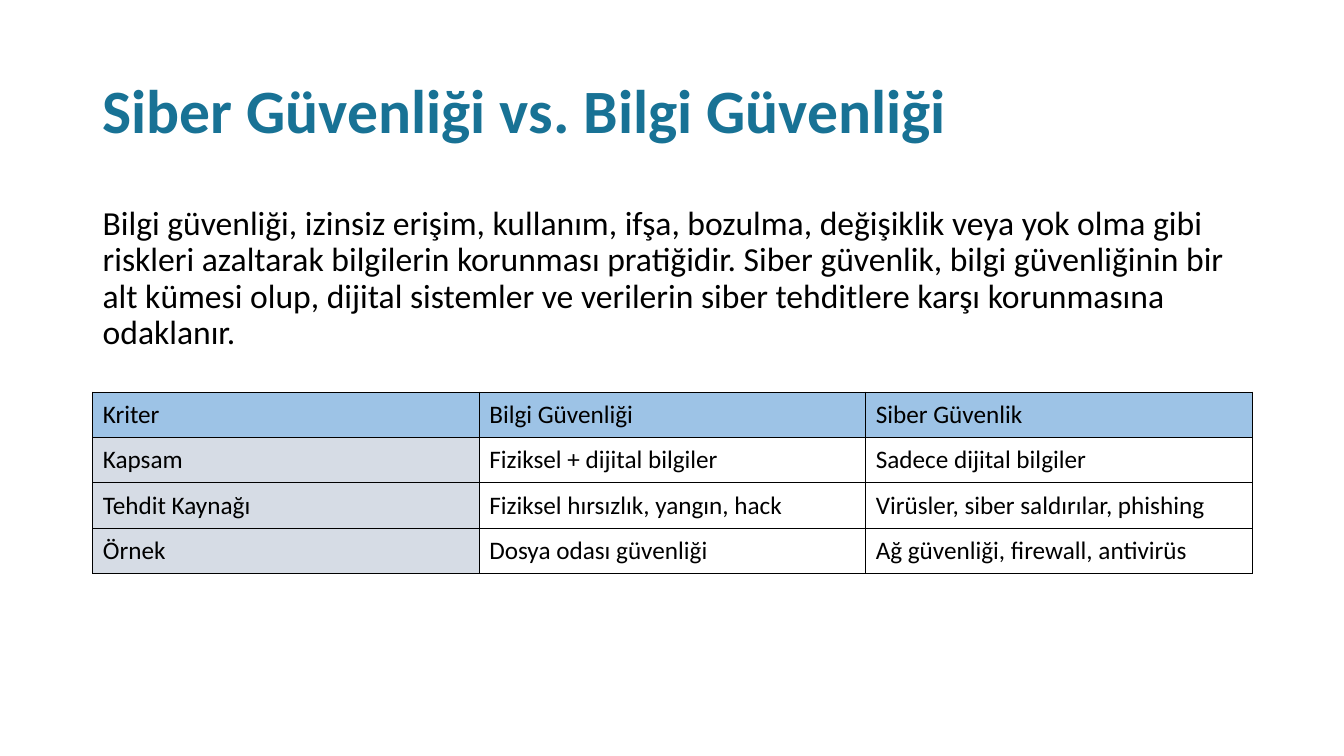
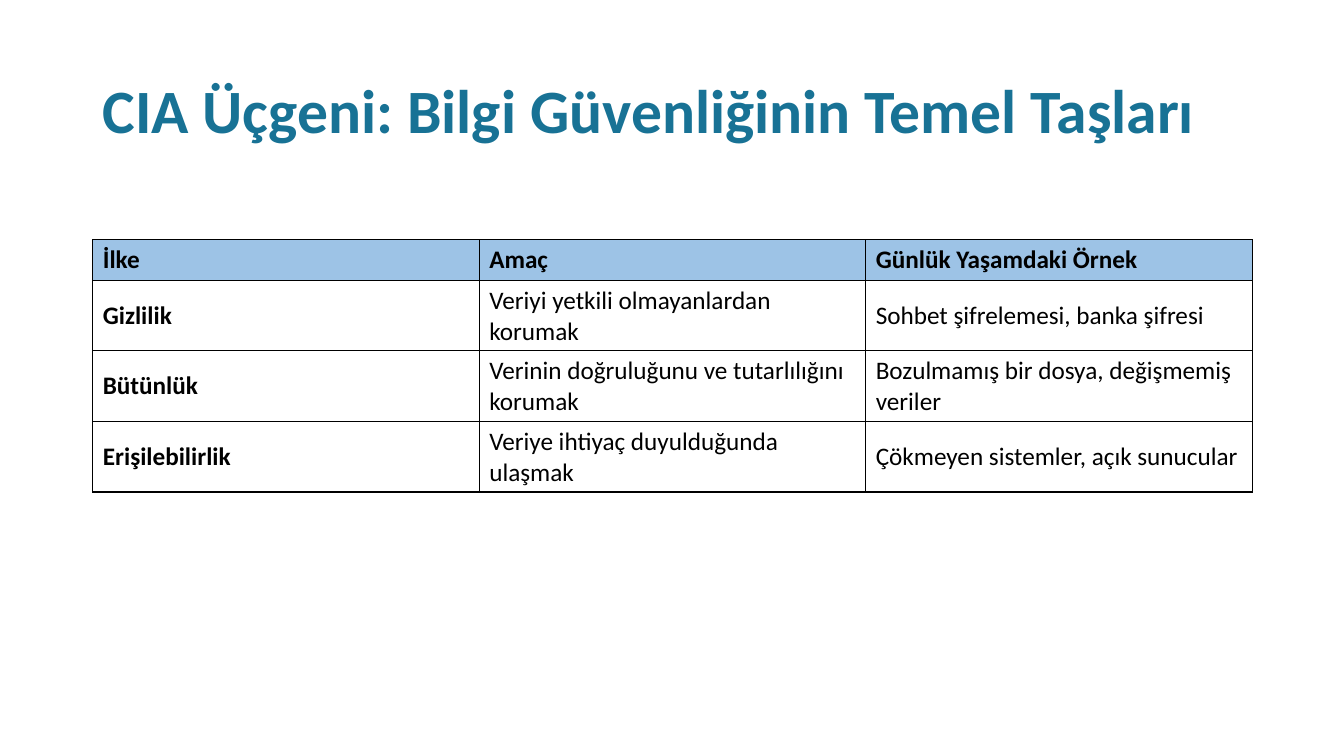
"""Build two slides comparing security terms and the CIA triad."""
from lxml import etree
from pptx import Presentation
from pptx import util as u
from pptx.dml import color
from pptx.enum import text
from pptx.oxml import ns

FONT = "Calibri"
TEAL, BLACK = "187295", "000000"
BLUE, GREY = "9DC3E6", "D6DCE5"
LEFT, WIDTH = 0.92, 11.5

INTRO = (
    "Bilgi güvenliği, izinsiz erişim, kullanım, ifşa, bozulma, değişiklik "
    "veya yok olma gibi riskleri azaltarak bilgilerin korunması pratiğidir. "
    "Siber güvenlik, bilgi güvenliğinin bir alt kümesi olup, dijital sistemler "
    "ve verilerin siber tehditlere karşı korunmasına odaklanır."
)
TERMS = [
    ["Kriter", "Bilgi Güvenliği", "Siber Güvenlik"],
    ["Kapsam", "Fiziksel + dijital bilgiler", "Sadece dijital bilgiler"],
    ["Tehdit Kaynağı", "Fiziksel hırsızlık, yangın, hack",
     "Virüsler, siber saldırılar, phishing"],
    ["Örnek", "Dosya odası güvenliği", "Ağ güvenliği, firewall, antivirüs"],
]
TRIAD = [
    ["İlke", "Amaç", "Günlük Yaşamdaki Örnek"],
    ["Gizlilik", "Veriyi yetkili olmayanlardan korumak",
     "Sohbet şifrelemesi, banka şifresi"],
    ["Bütünlük", "Verinin doğruluğunu ve tutarlılığını korumak",
     "Bozulmamış bir dosya, değişmemiş veriler"],
    ["Erişilebilirlik", "Veriye ihtiyaç duyulduğunda ulaşmak",
     "Çökmeyen sistemler, açık sunucular"],
]


def rgb(code):
    return color.RGBColor.from_string(code)


def style(para, size, tint=BLACK, bold=False):
    for run in para.runs:
        font = run.font
        font.name, font.size, font.bold = FONT, u.Pt(size), bold
        font.color.rgb = rgb(tint)


def add_text(slide, words, top, height, size, tint=BLACK, bold=False,
             anchor=text.MSO_ANCHOR.TOP, before=0):
    box = slide.shapes.add_textbox(
        u.Inches(LEFT), u.Inches(top), u.Inches(WIDTH), u.Inches(height))
    frame = box.text_frame
    frame.word_wrap = True
    frame.vertical_anchor = anchor
    frame.text = words
    para = frame.paragraphs[0]
    para.line_spacing = 0.9
    para.space_before = u.Pt(before)
    style(para, size, tint, bold)


def add_title(slide, words):
    add_text(slide, words, 0.4, 1.45, 44, TEAL, True, text.MSO_ANCHOR.MIDDLE)


def add_border(cell):
    props = cell._tc.get_or_add_tcPr()
    for side in ("a:lnL", "a:lnR", "a:lnT", "a:lnB"):
        line = etree.SubElement(props, ns.qn(side), w=str(u.Pt(1)))
        fill = etree.SubElement(line, ns.qn("a:solidFill"))
        etree.SubElement(fill, ns.qn("a:srgbClr"), val=BLACK)


def fill_cell(cell, words, fill, bold):
    add_border(cell)
    if fill:
        cell.fill.solid()
        cell.fill.fore_color.rgb = rgb(fill)
    else:
        cell.fill.background()
    cell.vertical_anchor = text.MSO_ANCHOR.MIDDLE
    cell.text_frame.text = words
    style(cell.text_frame.paragraphs[0], 18, bold=bold)


def add_grid(slide, data, top, heights, side=None, bold=False):
    count = len(data[0])
    table = slide.shapes.add_table(
        len(data), count, u.Inches(LEFT), u.Inches(top),
        u.Inches(WIDTH), u.Inches(sum(heights))).table
    table.first_row = table.horz_banding = False
    for col in table.columns:
        col.width = u.Inches(WIDTH / count)
    for r, (row, height) in enumerate(zip(data, heights)):
        table.rows[r].height = u.Inches(height)
        for c, words in enumerate(row):
            fill = BLUE if r == 0 else side if c == 0 else None
            fill_cell(table.cell(r, c), words, fill, bold and 0 in (r, c))


def main():
    deck = Presentation()
    deck.slide_width, deck.slide_height = u.Inches(13.33), u.Inches(7.5)
    blank = deck.slide_layouts[6]

    slide = deck.slides.add_slide(blank)
    add_title(slide, "Siber Güvenliği vs. Bilgi Güvenliği")
    add_text(slide, INTRO, 2, 4.76, 24, before=10)
    add_grid(slide, TERMS, 3.89, [0.45] * 4, side=GREY)

    slide = deck.slides.add_slide(blank)
    add_title(slide, "CIA Üçgeni: Bilgi Güvenliğinin Temel Taşları")
    add_grid(slide, TRIAD, 2.38, [0.4] + [0.7] * 3, bold=True)

    deck.save("out.pptx")


if __name__ == "__main__":
    main()
